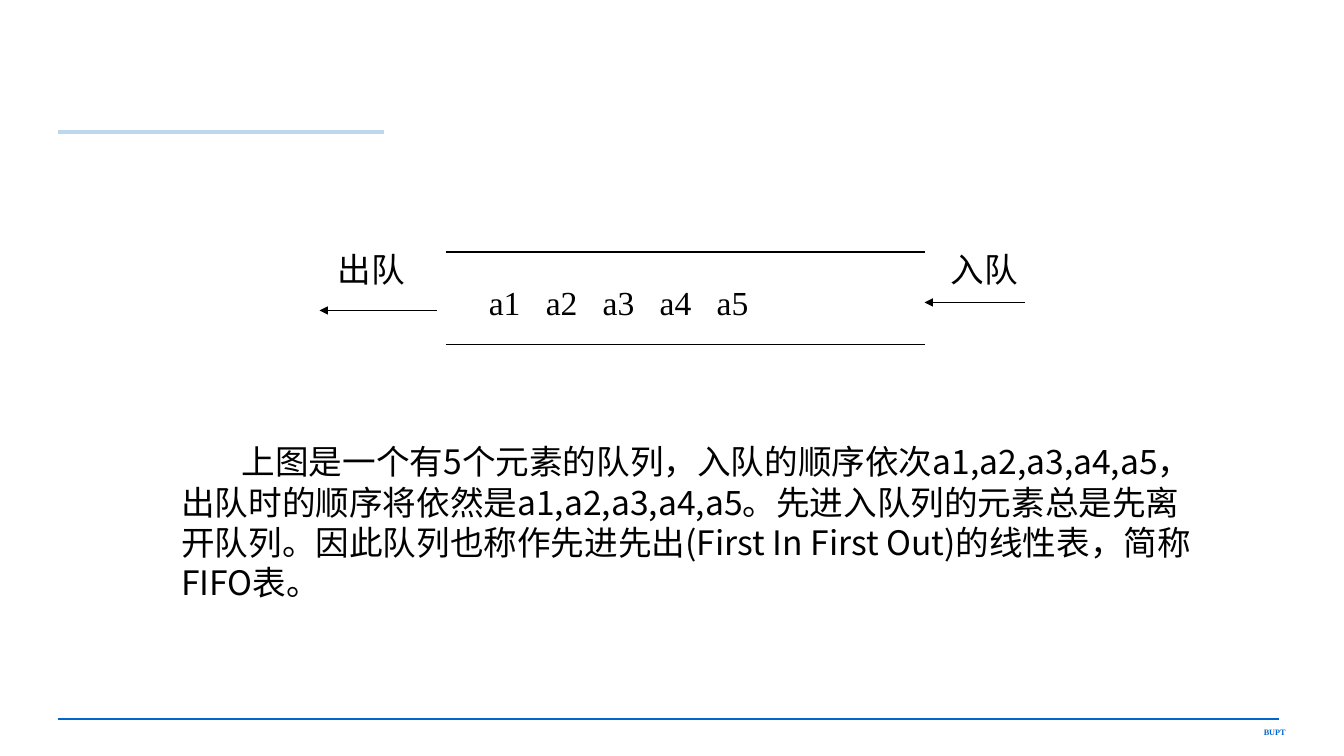
from lxml import etree
from pptx import Presentation, util as u
from pptx.dml.color import RGBColor
from pptx.enum import shapes, text
from pptx.oxml.ns import qn

SERIF, SANS = "Times New Roman", "Noto Sans CJK SC"
BLACK, BLUE, PALE = "000000", "0066CC", "BDD7EE"

deck = Presentation()
deck.slide_width, deck.slide_height = u.Inches(13.33), u.Inches(7.5)
slide = deck.slides.add_slide(deck.slide_layouts[6])


def add_line(x1, y1, x2, y2, color=BLACK, width=0.75, arrow=False):
    line = slide.shapes.add_connector(
        shapes.MSO_CONNECTOR.STRAIGHT, *map(u.Inches, (x1, y1, x2, y2)))
    line.line.color.rgb = RGBColor.from_string(color)
    line.line.width = u.Pt(width)
    properties = line._element.spPr
    if arrow:
        etree.SubElement(properties.get_or_add_ln(), qn("a:tailEnd"), type="triangle")
    etree.SubElement(properties, qn("a:effectLst"))


def add_text(words, x, y, w, h, size=24, font=SERIF, color=BLACK, bold=False):
    frame = slide.shapes.add_textbox(*map(u.Inches, (x, y, w, h))).text_frame
    frame.word_wrap = True
    paragraph = frame.paragraphs[0]
    run = paragraph.add_run()
    run.text = words
    run.font.size, run.font.name, run.font.bold = u.Pt(size), font, bold
    run.font.color.rgb = RGBColor.from_string(color)
    etree.SubElement(run.font._element, qn("a:ea"), typeface=SANS)
    return paragraph


# Footer rule and mark, heading rule
left_edge = 0.58
add_line(left_edge, 7.13, 12.69, 7.13, BLUE, 1.5)
footer = add_text("BUPT", 11.5, 7.17, 1.35, 0.2, 5.9, color=BLUE, bold=True)
footer.alignment = text.PP_ALIGN.RIGHT
add_line(left_edge, 1.31, 3.81, 1.31, PALE, 3.5)

# Queue walls
queue_left, queue_right = 4.42, 9.17
for wall_y in (2.5, 3.42):
    add_line(queue_left, wall_y, queue_right, wall_y)

# Queue elements on equal tab stops, in a box with room for all five
elements = add_text("\t".join(f"a{n}" for n in range(1, 6)), 4.75, 2.75, 3.2, 0.5)
stops = etree.SubElement(elements._p.get_or_add_pPr(), qn("a:tabLst"))
for n in range(1, 5):
    etree.SubElement(stops, qn("a:tab"), pos=str(u.Inches(0.565 * n)), algn="l")

# Leaving and entering
for label, label_x, start, end, arrow_y in (
        ("出队", 3.25, 4.33, 3.17, 3.08),
        ("入队", 9.33, 10.17, queue_right, 3)):
    add_line(start, arrow_y, end, arrow_y, arrow=True)
    add_text(label, label_x, 2.42, 0.95, 0.5).line_spacing = u.Pt(28.8)

# Explanation
explanation = add_text(
    "上图是一个有5个元素的队列，入队的顺序依次a1,a2,a3,a4,a5，"
    "出队时的顺序将依然是a1,a2,a3,a4,a5。先进入队列的元素总是先离开队列。"
    "因此队列也称作先进先出(First In First Out)的线性表，简称FIFO表。",
    1.7, 4.33, 10.4, 1.7, font=SANS)
explanation.line_spacing = u.Pt(28.8)
explanation._p.get_or_add_pPr().set("indent", str(u.Inches(0.6)))

deck.save("out.pptx")
